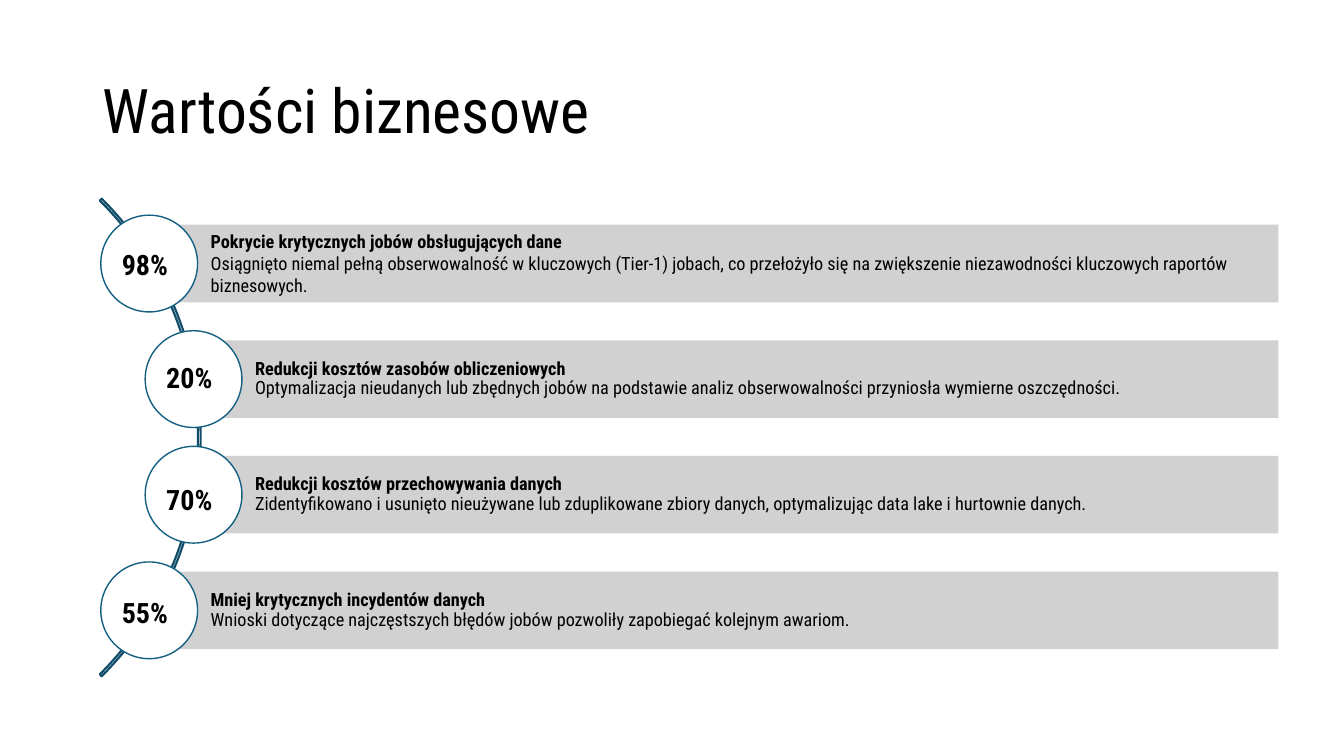
from pptx import Presentation
from pptx.dml.color import RGBColor
from pptx.enum.shapes import MSO_SHAPE as Shape
from pptx.enum.text import MSO_ANCHOR as Anchor, MSO_AUTO_SIZE as AutoSize, PP_ALIGN as Align
from pptx.util import Inches, Pt

# Content: figure, top of the figure, bar left edge, heading, detail
TITLE = "Wartości biznesowe"
VALUES = [
    ("98%", 2.41, 1.48, "Pokrycie krytycznych jobów obsługujących dane",
     "Osiągnięto niemal pełną obserwowalność w kluczowych (Tier-1) jobach, co przełożyło się "
     "na zwiększenie niezawodności kluczowych raportów biznesowych."),
    ("20%", 3.53, 1.92, "Redukcji kosztów zasobów obliczeniowych",
     "Optymalizacja nieudanych lub zbędnych jobów na podstawie analiz obserwowalności "
     "przyniosła wymierne oszczędności."),
    ("70%", 4.74, 1.92, "Redukcji kosztów przechowywania danych",
     "Zidentyfikowano i usunięto nieużywane lub zduplikowane zbiory danych, "
     "optymalizując data lake i hurtownie danych."),
    ("55%", 5.86, 1.48, "Mniej krytycznych incydentów danych",
     "Wnioski dotyczące najczęstszych błędów jobów pozwoliły zapobiegać kolejnym awariom."),
]

# Layout and style
FONT = "Roboto Condensed"
BLACK, WHITE, GREY, BLUE, NAVY = "000000", "FFFFFF", "D1D1D1", "156082", "114D68"
FIRST_TOP, LAST_TOP = 2.23, 5.67
BAR_RIGHT, BAR_HEIGHT, CIRCLE = 12.68, 0.77, 0.96
STEP = (LAST_TOP - FIRST_TOP) / (len(VALUES) - 1)

prs = Presentation()
prs.slide_width, prs.slide_height = Inches(13.33), Inches(7.5)
slide = prs.slides.add_slide(prs.slide_layouts[6])


def color(value):
    return RGBColor.from_string(value)


def add_shape(kind, *box, fill=None, line=None, width=1):
    shape = slide.shapes.add_shape(kind, *map(Inches, box))
    shape.shadow.inherit = False
    if fill:
        shape.fill.solid()
        shape.fill.fore_color.rgb = color(fill)
    else:
        shape.fill.background()
    if line:
        shape.line.color.rgb = color(line)
        shape.line.width = Pt(width)
    else:
        shape.line.fill.background()
    return shape


def write(shape, paragraphs, size, anchor=Anchor.TOP, spacing=None,
          insets=(0.1, 0.05, 0.1, 0.05), auto_size=AutoSize.NONE):
    """Each paragraph is a list of (text, bold) lines."""
    frame = shape.text_frame
    frame.word_wrap = True
    frame.auto_size = auto_size
    frame.vertical_anchor = anchor
    (frame.margin_left, frame.margin_top,
     frame.margin_right, frame.margin_bottom) = map(Inches, insets)
    for i, lines in enumerate(paragraphs):
        para = frame.add_paragraph() if i else frame.paragraphs[0]
        para.alignment = Align.LEFT
        if spacing:
            para.line_spacing = spacing
        for j, (text, bold) in enumerate(lines):
            if j:
                para.add_line_break()
            run = para.add_run()
            run.text = text
            run.font.name, run.font.size, run.font.bold = FONT, Pt(size), bold
            run.font.color.rgb = color(BLACK)


def add_text(box, paragraphs, size, **style):
    write(slide.shapes.add_textbox(*map(Inches, box)), paragraphs, size, **style)


# Title
add_text((0.92, 0.4, 9.46, 1.45), [[(TITLE, False)]], 44, anchor=Anchor.MIDDLE, spacing=0.9)

# Arc behind the circles, from 315 to 45 degrees
arc = add_shape(Shape.BLOCK_ARC, -4.71, 0.99, 6.7, 6.7, line=NAVY, width=1.5)
for i, setting in enumerate((189, 27, 0.004)):
    arc.adjustments[i] = setting

# Bars, circles and figures
for row, (figure, figure_top, left, heading, detail) in enumerate(VALUES):
    top = FIRST_TOP + row * STEP
    bar = add_shape(Shape.RECTANGLE, left, top, BAR_RIGHT - left, BAR_HEIGHT, fill=GREY)
    head, body = (heading, True), (detail, False)
    write(bar, [[head], [body]] if row == 0 else [[head, body]], 13, anchor=Anchor.MIDDLE,
          spacing=None if row == 0 else 0.9, insets=(0.61, 0.04, 0.04, 0.04))
    add_shape(Shape.OVAL, left - CIRCLE / 2, top + (BAR_HEIGHT - CIRCLE) / 2, CIRCLE, CIRCLE,
              fill=WHITE, line=BLUE)
    add_text((left - 0.37, figure_top, 0.79, 0.44), [[(figure, True)]], 20,
             auto_size=AutoSize.SHAPE_TO_FIT_TEXT)

prs.save("out.pptx")
